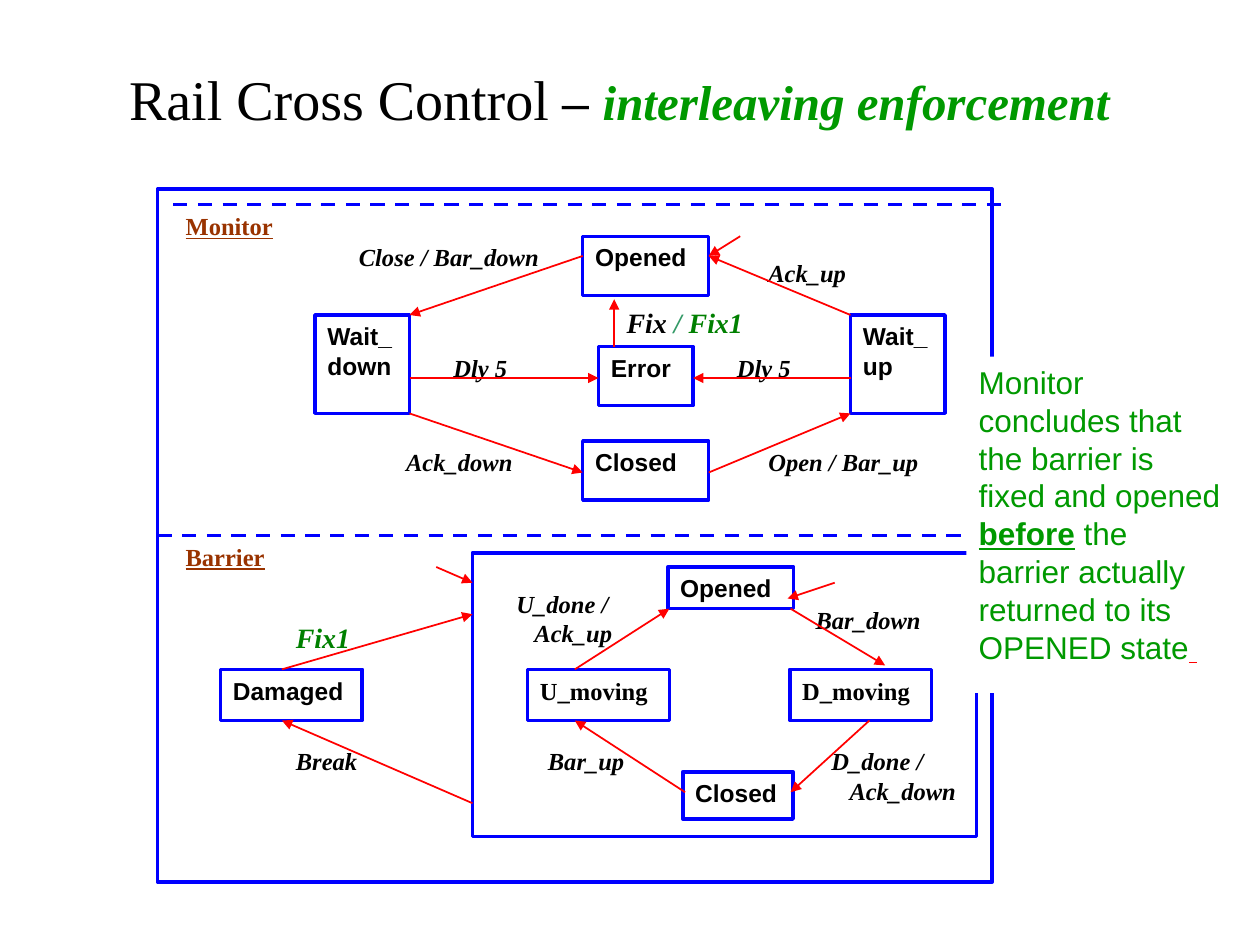
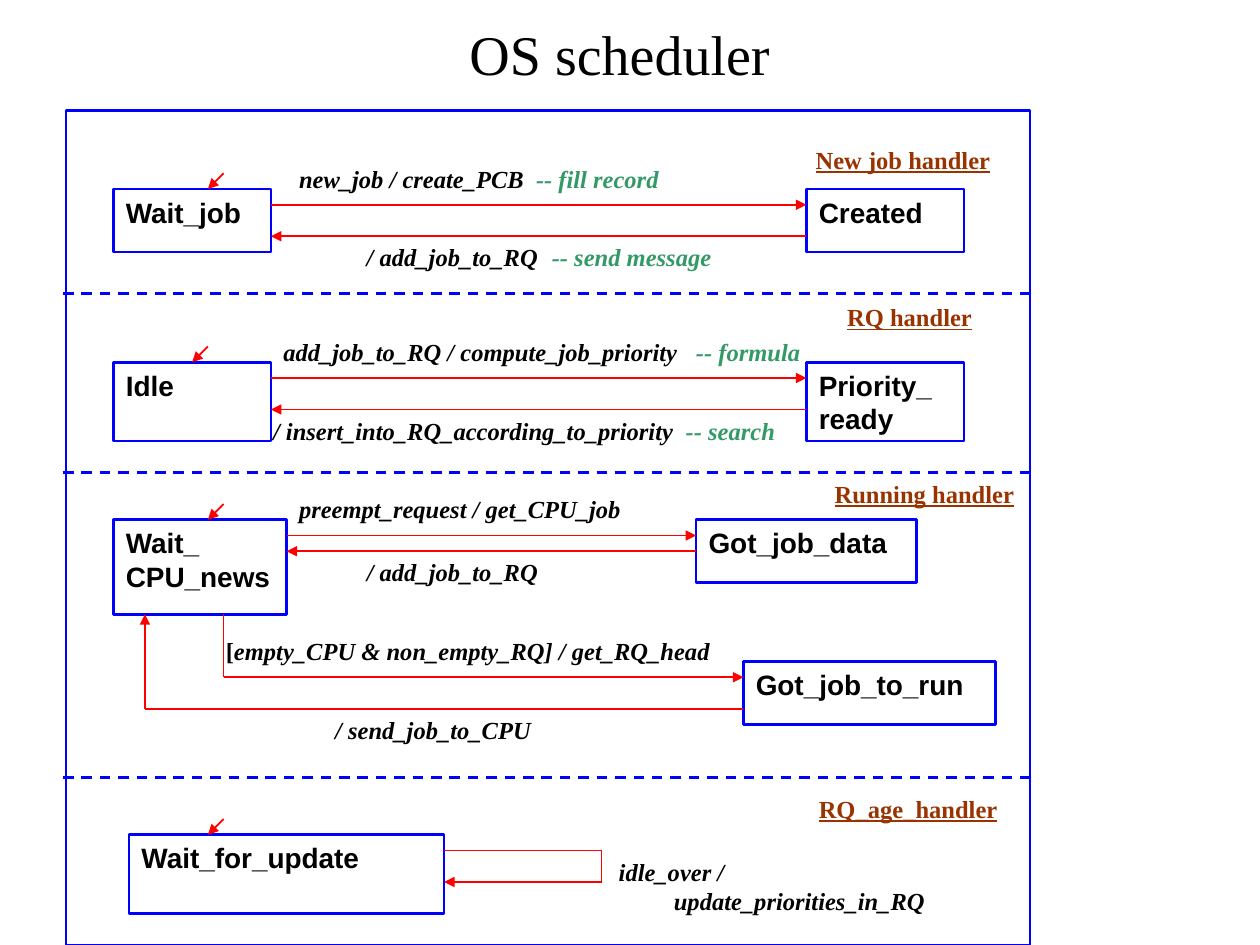
from itertools import pairwise
from lxml import etree
from pptx import Presentation, util as u
from pptx.dml.color import RGBColor
from pptx.enum import dml, shapes, text
from pptx.oxml import ns

BLACK = RGBColor(0x00, 0x00, 0x00)
WHITE = RGBColor(0xFF, 0xFF, 0xFF)
BLUE = RGBColor(0x00, 0x00, 0xFF)
RED = RGBColor(0xFF, 0x00, 0x00)
BROWN = RGBColor(0x99, 0x33, 0x00)
GREEN = RGBColor(0x00, 0x99, 0x00)
DARK_GREEN = RGBColor(0x00, 0x80, 0x00)
SEA_GREEN = RGBColor(0x33, 0x99, 0x66)
SERIF, SANS = "Times New Roman", "Arial"

deck = Presentation()
deck.slide_width, deck.slide_height = u.Inches(10), u.Inches(7.5)
CELL = deck.slide_width // 80

TITLE = dict(size=32, font=SERIF, align=text.PP_ALIGN.CENTER)
EVENT = dict(size=14, font=SERIF, bold=True, italic=True)
FIX = dict(EVENT, size=16)
HEADING = dict(size=14, font=SERIF, bold=True, underline=True, color=BROWN)
STATE = dict(size=14, font=SANS, bold=True)
BIG_STATE = dict(STATE, size=16)
MOVING = dict(STATE, font=SERIF)
NOTE = dict(size=18, font=SANS, color=GREEN)
REMARK = dict(color=SEA_GREEN)


def write(box, paragraphs, align=text.PP_ALIGN.LEFT, anchor=text.MSO_ANCHOR.TOP,
          indent=0, tab=0, **base):
    frame = box.text_frame
    frame.word_wrap = True
    frame.vertical_anchor = anchor
    for number, spans in enumerate(paragraphs):
        para = frame.add_paragraph() if number else frame.paragraphs[0]
        para.alignment = align
        props = para._p.get_or_add_pPr()
        if number and indent:
            props.set("marL", str(int(indent * CELL)))
        if tab:
            stops = etree.SubElement(props, ns.qn("a:tabLst"))
            etree.SubElement(stops, ns.qn("a:tab"), pos=str(int(tab * CELL)), algn="l")
        for words, changes in [(spans, {})] if isinstance(spans, str) else spans:
            style = {**base, **changes}
            span = para.add_run()
            span.text = words
            span.font.name = style["font"]
            span.font.size = u.Pt(style["size"])
            span.font.bold = style.get("bold", False)
            span.font.italic = style.get("italic", False)
            span.font.underline = style.get("underline", False)
            span.font.color.rgb = style.get("color", BLACK)


crossing = dict(
    origin=0, stroke=2,
    title=((4.65, 3.7, 69.35, 6), [[
        ("Rail Cross Control", {}), (" ", dict(size=28)),
        ("– ", dict(size=28, font=SANS)),
        ("interleaving enforcement", dict(size=28, bold=True, italic=True, color=GREEN))]]),
    frames=[(10, 12, 53, 44), (30, 35.1, 32, 18)],
    dividers=[(11, 13, 64), (10, 34, 63)],
    labels=[
        ((11, 13, 8), ["Monitor"], HEADING),
        ((11, 34, 8), ["Barrier"], HEADING),
        ((22, 15, 13.6), ["Close / Bar_down"], EVENT),
        ((48, 28, 13), ["Open / Bar_up"], EVENT),
        ((25, 28, 9), ["Ack_down"], EVENT),
        ((48, 16, 8), ["Ack_up"], EVENT),
        ((28, 22, 7), ["Dly 5"], EVENT),
        ((46, 22, 7), ["Dly 5"], EVENT),
        ((39, 19, 13), [[("Fix", {}), (" / ", REMARK), ("Fix1", dict(color=DARK_GREEN))]], FIX),
        ((18, 39, 7), ["Fix1"], dict(FIX, color=DARK_GREEN)),
        ((18, 47, 7), ["Break"], EVENT),
        ((51, 38, 9), ["Bar_down"], EVENT),
        ((34, 47, 7), ["Bar_up"], EVENT),
        ((52, 47, 11), ["D_done /", "Ack_down"], dict(EVENT, indent=1.15)),
        ((32, 37, 9), ["U_done /", "Ack_up"], dict(EVENT, indent=1.15)),
    ],
    states=[
        ((37, 15, 8, 3.75), ["Opened"], STATE),
        ((20, 20, 6, 6.25), ["Wait_", "down"], STATE),
        ((54, 20, 6, 6.25), ["Wait_", "up"], STATE),
        ((38, 22, 6, 3.75), ["Error"], STATE),
        ((37, 28, 8, 3.75), ["Closed"], STATE),
        ((14, 42.5, 9, 3.25), ["Damaged"], STATE),
        ((33.5, 42.5, 9, 3.25), ["U_moving"], MOVING),
        ((50.15, 42.5, 9, 3.25), ["D_moving"], MOVING),
        ((42.4, 36, 8, 2.65), ["Opened"], STATE),
        ((43.35, 49, 7, 3), ["Closed"], STATE),
    ],
    routes=[
        [(37, 16.25), (26, 20)], [(26, 26.25), (37, 30)],
        [(45, 30), (54, 26.25)], [(54, 20), (45, 16.25)],
        [(47, 15), (45, 16.25)], [(39, 22), (39, 19)],
        [(26, 24), (38, 24)], [(54, 24), (44, 24)],
        [(30, 51), (17.9, 45.75)], [(17.9, 42.5), (30, 39)],
        [(27.7, 36), (30, 37)], [(43.5, 50.3), (36.5, 45.75)],
        [(55.2, 45.75), (50.2, 50.3)], [(50.2, 38.65), (56.2, 42.25)],
        [(36.5, 42.5), (42.5, 38.65)], [(53, 37), (50, 38)],
    ],
    notes=[((61.35, 22.65, 17.35, 21.35), ["Monitor", [
        ("concludes that the barrier is fixed and opened ", {}),
        ("before", dict(bold=True, underline=True)),
        (" the barrier actually returned to its OPENED state", {}),
        (" ", dict(bold=True, underline=True, color=RED))]])],
)

scheduler = dict(
    origin=0.2, stroke=1.5,
    title=((5.15, 1.35, 68, 4), ["OS scheduler"]),
    frames=[(4, 7, 61.2, 53)],
    dividers=[(3.8, row, 65.2) for row in (18.65, 30, 49.35)],
    labels=[
        ((50.8, 8.8, 13), ["New job handler"], HEADING),
        ((52.8, 18.8, 12), ["RQ handler"], HEADING),
        ((52, 30, 13.2), ["Running handler"], HEADING),
        ((51, 50, 13.2), ["RQ_age_handler"], HEADING),
        ((18, 10, 29), [[("new_job / create_PCB\t", {}), ("-- fill record", REMARK)]],
         dict(EVENT, tab=15.05)),
        ((22.3, 15, 28), [[("/ add_job_to_RQ\t", {}), ("-- send message", REMARK)]],
         dict(EVENT, tab=11.75)),
        ((17, 21, 37), [[("add_job_to_RQ / compute_job_priority\t", {}),
                         ("-- formula", REMARK)]], dict(EVENT, tab=26.2)),
        ((16.35, 26, 37), [[("/ insert_into_RQ_according_to_priority\t", {}),
                            ("-- search", REMARK)]], dict(EVENT, tab=26.2)),
        ((18, 31, 25), ["preempt_request / get_CPU_job"], EVENT),
        ((22.3, 35, 18), ["/ add_job_to_RQ"], EVENT),
        ((13.35, 40, 34), [[("[", dict(italic=False)),
                            ("empty_CPU & non_empty_RQ] / get_RQ_head", {})]], EVENT),
        ((20.3, 45, 20), ["/ send_job_to_CPU"], EVENT),
        ((38.3, 54, 25), ["idle_over /", "update_priorities_in_RQ"], dict(EVENT, indent=3.5)),
    ],
    states=[
        ((7, 12, 10, 4), ["Wait_job"], BIG_STATE),
        ((51, 12, 10, 4), ["Created"], BIG_STATE),
        ((7, 23, 10, 5), ["Idle"], BIG_STATE),
        ((51, 23, 10, 5), ["Priority_", "ready"], BIG_STATE),
        ((7, 33, 11, 6), ["Wait_", "CPU_news"], BIG_STATE),
        ((44, 33, 14, 4), ["Got_job_data"], BIG_STATE),
        ((47, 42, 16, 4), ["Got_job_to_run"], BIG_STATE),
        ((8, 53, 20, 5), ["Wait_for_update"], BIG_STATE),
    ],
    routes=[
        [(17, 13), (51, 13)], [(51, 15), (17, 15)],
        [(17, 24), (51, 24)], [(51, 26), (17, 26)],
        [(18, 34), (44, 34)], [(44, 35), (18, 35)],
        [(14, 39), (14, 43), (47, 43)],
        [(47, 45), (9, 45), (9, 39)],
        [(28, 54), (38, 54), (38, 56), (28, 56)],
    ] + [[(x, y), (x - 1, y + 1)] for x, y in ((14, 11), (13, 22), (14, 32), (14, 52))],
    notes=[],
)

for chart in (crossing, scheduler):
    page = deck.slides.add_slide(deck.slide_layouts[6])
    origin, stroke = chart["origin"], chart["stroke"]

    place, title = chart["title"]
    x, y, w, h = place
    box = page.shapes.add_textbox(*(int(v * CELL) for v in (x + origin, y, w, h)))
    middle = text.MSO_ANCHOR.MIDDLE if chart is scheduler else text.MSO_ANCHOR.TOP
    write(box, title, anchor=middle, **TITLE)

    for (x, y, w), words, style in chart["labels"]:
        box = page.shapes.add_textbox(*(int(v * CELL) for v in (x + origin, y, w, 3)))
        write(box, words, **style)

    outlined = [(place, None, None) for place in chart["frames"]] + chart["states"]
    for (x, y, w, h), words, style in outlined:
        box = page.shapes.add_shape(shapes.MSO_SHAPE.RECTANGLE,
                                    *(int(v * CELL) for v in (x + origin, y, w, h)))
        box.shadow.inherit = False
        box.line.color.rgb = BLUE
        box.line.width = u.Pt(stroke)
        if words:
            box.fill.solid()
            box.fill.fore_color.rgb = WHITE
            write(box, words, **style)
        else:
            box.fill.background()

    strokes = [((x, y), (end, y), BLUE, stroke, False) for x, y, end in chart["dividers"]]
    for route in chart["routes"]:
        strokes += [(a, b, RED, 1, b == route[-1]) for a, b in pairwise(route)]
    for (x, y), (end_x, end_y), color, width, arrow in strokes:
        ends = (x + origin, y, end_x + origin, end_y)
        line = page.shapes.add_connector(shapes.MSO_CONNECTOR.STRAIGHT,
                                         *(int(v * CELL) for v in ends))
        line.line.color.rgb = color
        line.line.width = u.Pt(width)
        if color == BLUE:
            line.line.dash_style = dml.MSO_LINE.DASH
        if arrow:
            etree.SubElement(line.line._get_or_add_ln(), ns.qn("a:tailEnd"), type="triangle")
        etree.SubElement(line._element.spPr, ns.qn("a:effectLst"))

    for place, words in chart["notes"]:
        box = page.shapes.add_shape(shapes.MSO_SHAPE.RECTANGLE, *(int(v * CELL) for v in place))
        box.shadow.inherit = False
        box.fill.solid()
        box.fill.fore_color.rgb = WHITE
        box.line.fill.background()
        write(box, words, **NOTE)

deck.save("out.pptx")
